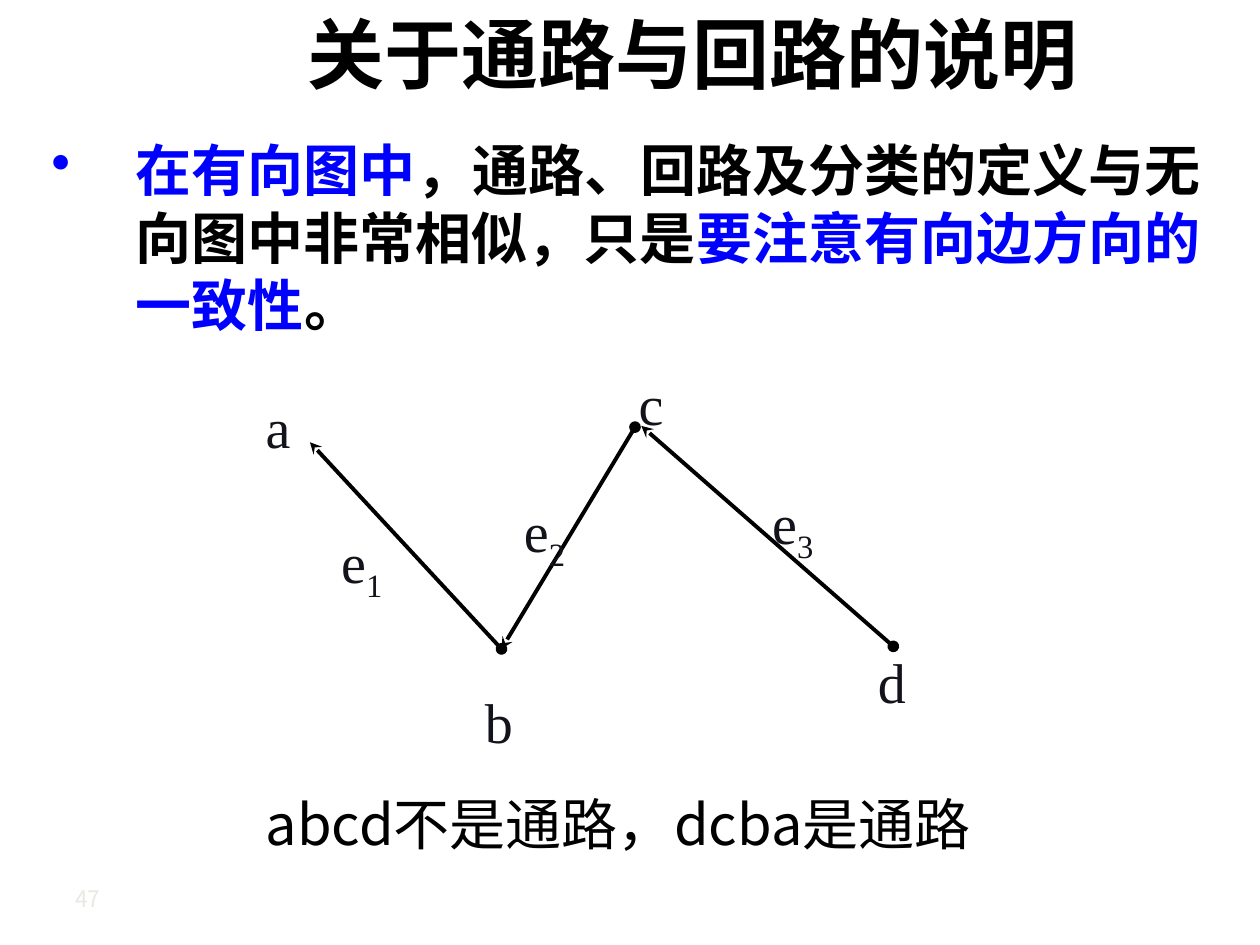
import pptx
import pptx.dml.color
import pptx.enum.shapes
import pptx.enum.text
import pptx.oxml
import pptx.oxml.ns
import pptx.util
from pptx.util import Inches

SANS, CJK, SERIF = "Calibri", "Noto Sans CJK SC", "Times New Roman"
BLACK, BLUE, INK, PALE = "000000", "0000FF", "13131B", "EAE8E2"

TITLE = "关于通路与回路的说明"
BODY = [
    ("在有向图中", BLUE),
    ("，通路、回路及分类的定义与无向图中非常相似，只是", BLACK),
    ("要注意有向边方向的一致性", BLUE),
    ("。", BLACK),
]
EDGES = [
    ((3.98, 5.15), (2.46, 3.51)),
    ((5.04, 3.39), (3.98, 5.15)),
    ((7.09, 5.13), (5.09, 3.38)),
]
LABELS = [
    ("a", "", 2.01, 3.07, 0.4),
    ("b", "", 3.75, 5.41, 0.47),
    ("c", "", 4.97, 2.88, 0.48),
    ("d", "", 6.87, 5.09, 0.47),
    ("e", "1", 2.61, 4.14, 0.61),
    ("e", "2", 4.06, 3.89, 0.76),
    ("e", "3", 6.03, 3.83, 0.76),
]
CAPTION = "abcd不是通路，dcba是通路"
PAGE = "47"


def rgb(value):
    """Turn a hex string into a colour."""
    return pptx.dml.color.RGBColor.from_string(value)


def add_xml(parent, tag, **attrs):
    """Append a DrawingML element with the given attributes."""
    el = parent.makeelement(pptx.oxml.ns.qn(tag), attrs)
    parent.append(el)
    return el


def style(p, size, name, color, bold=False):
    """Set the font of a whole paragraph, East Asian text included."""
    font = p.font
    font.size, font.name, font.bold = pptx.util.Pt(size), name, bold
    font.color.rgb = rgb(color)
    def_rpr = p._p.pPr.find(pptx.oxml.ns.qn("a:defRPr"))
    add_xml(def_rpr, "a:ea", typeface=name)


def add_text(s, box, runs, size, name, color, bold=False):
    """Add a wrapping text box and return its paragraph."""
    tf = s.shapes.add_textbox(*map(Inches, box)).text_frame
    tf.word_wrap = True
    p = tf.paragraphs[0]
    for text in runs:
        p.add_run().text = text
    style(p, size, name, color, bold)
    return p


def add_title(s):
    """Place and format the title."""
    sp = s.shapes.title
    sp.left, sp.top, sp.width, sp.height = map(Inches, (1, 0, 9, 0.83))
    tf = sp.text_frame
    tf.text = TITLE
    tf.vertical_anchor = pptx.enum.text.MSO_ANCHOR.MIDDLE
    p = tf.paragraphs[0]
    p.alignment = pptx.enum.text.PP_ALIGN.CENTER
    style(p, 44, SANS, BLACK, True)


def add_body(s):
    """Add the bulleted statement with its highlighted phrases."""
    texts = [text for text, _ in BODY]
    p = add_text(s, (0.31, 1.03, 9.44, 1.7), texts, 32, SANS, BLACK, True)
    for r, (_, color) in zip(p.runs, BODY):
        r.font.color.rgb = rgb(color)
    ppr = p._p.pPr
    ppr.set("marL", str(Inches(0.67)))
    ppr.set("indent", str(-Inches(0.67)))
    bullet = add_xml(ppr, "a:buChar", char="•")
    ppr.insert(0, bullet)
    p.space_before = pptx.util.Pt(4)


def add_edge(s, start, end):
    """Add a directed edge from a round node to an arrowhead."""
    kind = pptx.enum.shapes.MSO_CONNECTOR.STRAIGHT
    cn = s.shapes.add_connector(kind, *map(Inches, start + end))
    cn.line.color.rgb = rgb(BLACK)
    cn.line.width = pptx.util.Pt(2.25)
    ln = cn.line._get_or_add_ln()
    add_xml(ln, "a:headEnd", type="oval")
    add_xml(ln, "a:tailEnd", type="stealth")
    add_xml(cn._element.spPr, "a:effectLst")


def add_label(s, text, sub, left, top, width):
    """Add a node or edge name with an optional subscript."""
    runs = [text, sub] if sub else [text]
    p = add_text(s, (left, top, width, 0.63), runs, 32, SERIF, INK)
    p.space_before = pptx.util.Pt(4)
    if sub:
        p.runs[1].font._element.set("baseline", "-25000")


def main():
    """Build the slide and save it."""
    prs = pptx.Presentation()
    prs.slide_width, prs.slide_height = Inches(10), Inches(7.5)
    s = prs.slides.add_slide(prs.slide_layouts[5])
    add_title(s)
    add_body(s)
    for start, end in EDGES:
        add_edge(s, start, end)
    for label in LABELS:
        add_label(s, *label)
    add_text(s, (2.01, 6.22, 6.58, 0.63), [CAPTION], 32, CJK, BLACK)
    add_text(s, (0.5, 6.97, 1, 0.35), [PAGE], 13, CJK, PALE)
    prs.save("out.pptx")


if __name__ == "__main__":
    main()
